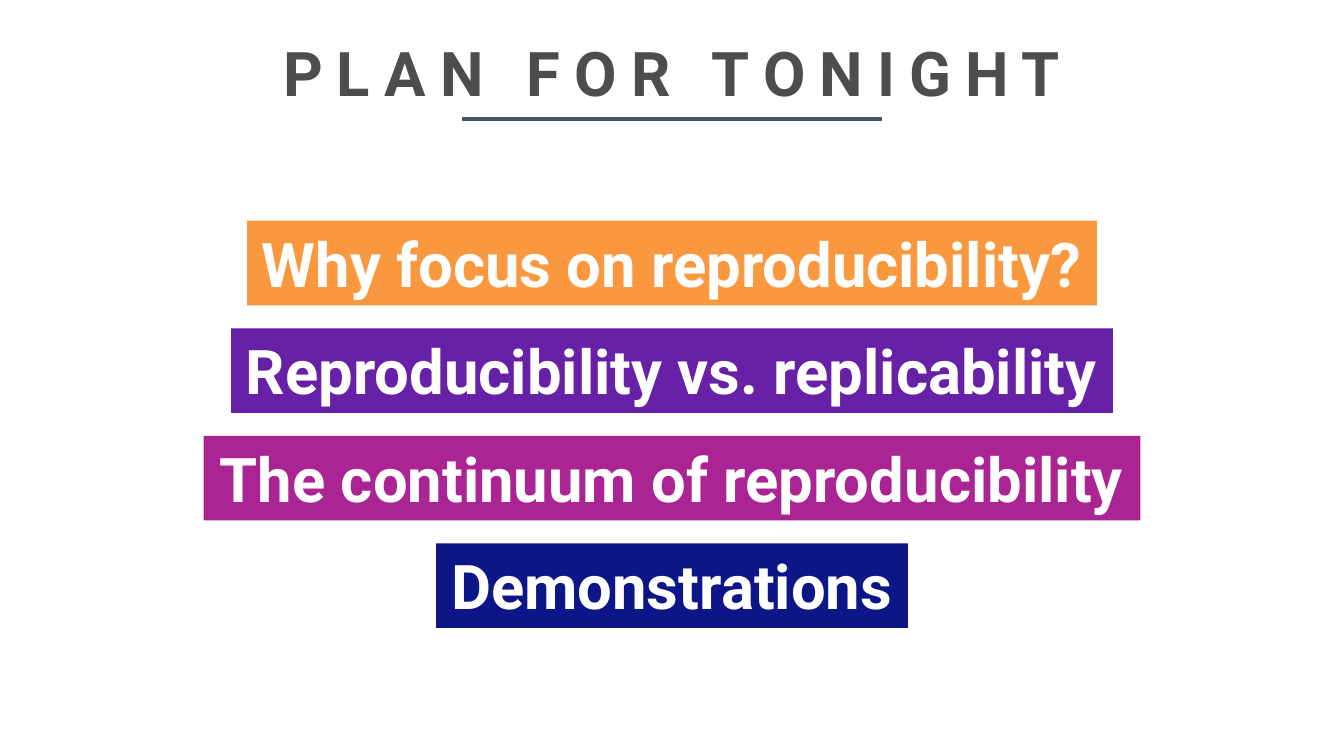
from dataclasses import dataclass

from lxml.etree import SubElement
from pptx import Presentation
from pptx.dml.color import RGBColor as RGB
from pptx.enum.shapes import MSO_CONNECTOR as LINE, MSO_SHAPE as SHAPE
from pptx.enum.text import MSO_ANCHOR as ANCHOR, MSO_AUTO_SIZE as FIT, PP_ALIGN as ALIGN
from pptx.oxml.ns import qn
from pptx.util import Pt


@dataclass(frozen=True)
class Theme:
    font: str = "Roboto"
    size: int = 44
    title: str = "4D4D4D"
    rule: str = "44546A"
    text: str = "FFFFFF"
    bars: tuple = ("F9983E", "6621A7", "AB2494", "0D1687")


def put(shape, text, color, frame):
    """Write one centred bold line and return its run."""
    for name, value in frame.items():
        setattr(shape.text_frame, name, value)
    para = shape.text_frame.paragraphs[0]
    para.alignment = ALIGN.CENTER
    run = para.add_run()
    run.text = text
    font = {"name": theme.font, "size": Pt(theme.size), "bold": True}
    for name, value in font.items():
        setattr(run.font, name, value)
    run.font.color.rgb = RGB.from_string(color)
    return run


theme = Theme()
deck = Presentation()
deck.slide_width, deck.slide_height = Pt(960), Pt(540)
slide = deck.slides.add_slide(deck.slide_layouts[5])
mid = 480

# Title and rule
title = slide.shapes.title
place = {"left": 66, "top": 12, "width": 828, "height": 73}
for name, value in place.items():
    setattr(title, name, Pt(value))
run = put(title, "PLAN FOR TONIGHT", theme.title,
          {"vertical_anchor": ANCHOR.MIDDLE, "auto_size": FIT.NONE, "word_wrap": True})
run.font._element.set("spc", "1000")
title.text_frame.paragraphs[0].line_spacing = 1.1

rule = slide.shapes.add_connector(
    LINE.STRAIGHT, Pt(mid - 150), Pt(85), Pt(mid + 150), Pt(85))
rule.line.color.rgb = RGB.from_string(theme.rule)
rule.line.width = Pt(3)
SubElement(rule._element.spPr, qn("a:effectLst"))

# Agenda bars, centred and evenly spaced
agenda = [
    ("Why focus on reproducibility?", 607),
    ("Reproducibility vs. replicability", 630),
    ("The continuum of reproducibility", 669),
    ("Demonstrations", 337),
]
top, step, high = 157.7, 76.8, 60.5
for row, ((text, wide), color) in enumerate(zip(agenda, theme.bars)):
    bar = slide.shapes.add_shape(
        SHAPE.RECTANGLE, Pt(mid - wide / 2), Pt(top + row * step), Pt(wide), Pt(high))
    bar.shadow.inherit = False
    bar.fill.solid()
    bar.fill.fore_color.rgb = RGB.from_string(color)
    bar.line.fill.background()
    put(bar, text, theme.text,
        {"vertical_anchor": ANCHOR.TOP, "auto_size": FIT.SHAPE_TO_FIT_TEXT,
         "word_wrap": False})

deck.save("out.pptx")
